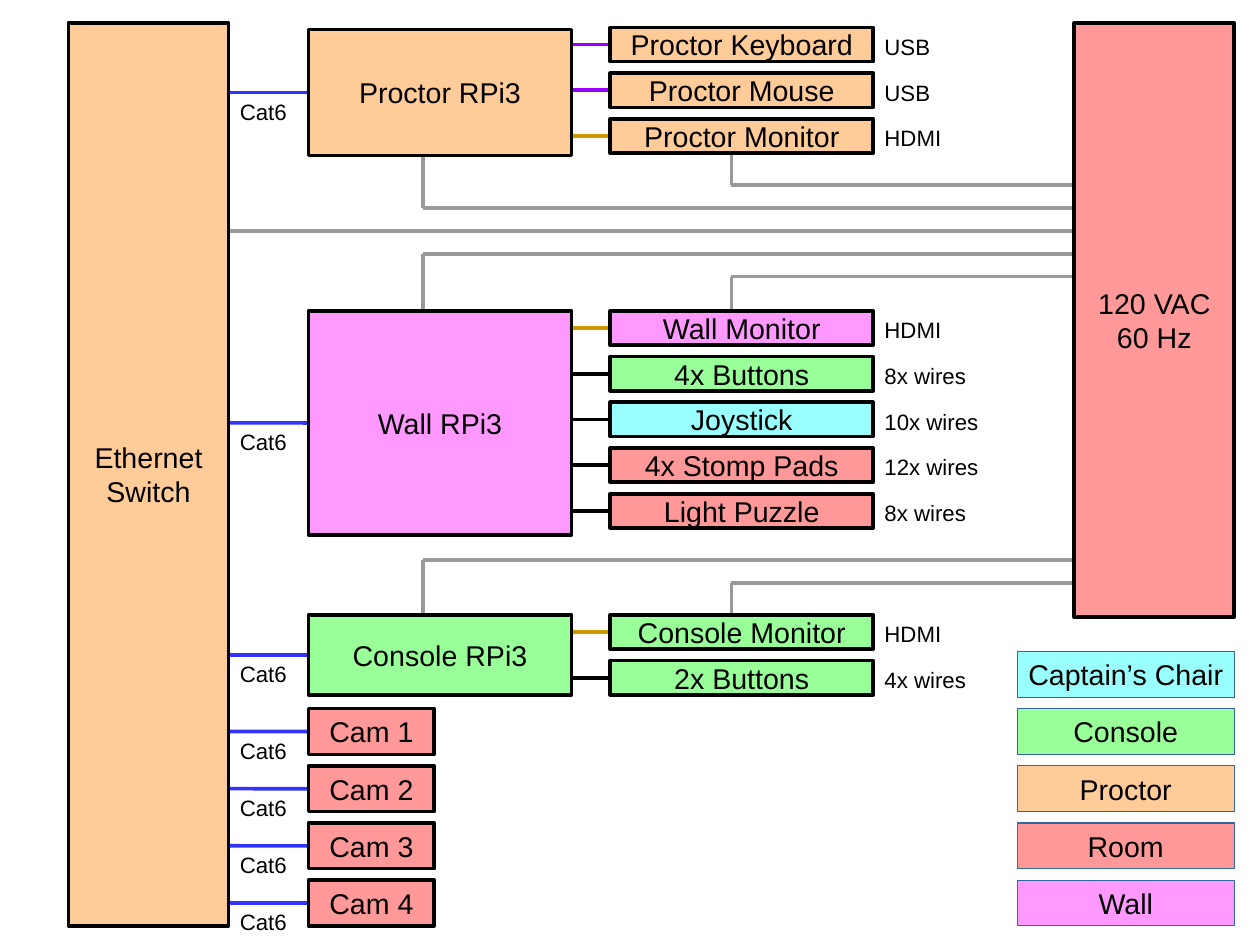
from lxml.etree import SubElement
from pptx import Presentation
from pptx.dml.color import RGBColor
from pptx.enum.shapes import MSO_CONNECTOR, MSO_SHAPE
from pptx.enum.text import MSO_ANCHOR, PP_ALIGN
from pptx.oxml.ns import qn
from pptx.util import Pt

BLACK = RGBColor(0x00, 0x00, 0x00)
CHAIR = RGBColor(0x99, 0xFF, 0xFF)
CONSOLE = RGBColor(0x99, 0xFF, 0x99)
PROCTOR = RGBColor(0xFF, 0xCC, 0x99)
ROOM = RGBColor(0xFF, 0x99, 0x99)
WALL = RGBColor(0xFF, 0x99, 0xFF)
LEGEND_LINE = RGBColor(0x34, 0x65, 0xA4)
ETHERNET_WIRE = RGBColor(0x33, 0x33, 0xFF)
HDMI_WIRE = RGBColor(0xCC, 0x99, 0x00)
POWER_WIRE = RGBColor(0x99, 0x99, 0x99)
USB_WIRE = RGBColor(0x99, 0x00, 0xFF)

SLIDE_WIDTH, SLIDE_HEIGHT = 793.75, 595.25
LINE_WIDTH = 2.3
SWITCH_BOX = (43.2, 14.4, 100.8, 568.8)
POWER_BOX = (676.8, 14.4, 100.8, 374.4)
LEGEND_BOX = (640.8, 410.4, 136.8, 28.8)
SWITCH_RIGHT = SWITCH_BOX[0] + SWITCH_BOX[2]
CONTROLLER_LEFT, CONTROLLER_DROP = 194.4, 266.4
DEVICE_LEFT, DEVICE_DROP = 384.48, 460.8
DEVICE_WIDTH, DEVICE_HEIGHT, DEVICE_PITCH = 165.6, 21.6, 28.8
CAMERA_TOP, ENTRY_PITCH = 446.4, 36

# Controller name, colour, top, height, top of first device, and
# devices as name, colour, wire colour, wire label
STATIONS = [
    ("Proctor RPi3", PROCTOR, 18.72, 79.2, 17.28, [
        ("Proctor Keyboard", PROCTOR, USB_WIRE, "USB"),
        ("Proctor Mouse", PROCTOR, USB_WIRE, "USB"),
        ("Proctor Monitor", PROCTOR, HDMI_WIRE, "HDMI")]),
    ("Wall RPi3", WALL, 195.84, 141.12, 195.84, [
        ("Wall Monitor", WALL, HDMI_WIRE, "HDMI"),
        ("4x Buttons", CONSOLE, BLACK, "8x wires"),
        ("Joystick", CHAIR, BLACK, "10x wires"),
        ("4x Stomp Pads", ROOM, BLACK, "12x wires"),
        ("Light Puzzle", ROOM, BLACK, "8x wires")]),
    ("Console RPi3", CONSOLE, 387.36, 50.4, 387.36, [
        ("Console Monitor", CONSOLE, HDMI_WIRE, "HDMI"),
        ("2x Buttons", CONSOLE, BLACK, "4x wires")]),
]
LEGEND = [("Captain’s Chair", CHAIR), ("Console", CONSOLE),
          ("Proctor", PROCTOR), ("Room", ROOM), ("Wall", WALL)]

# Start of each power line, its height, and the box edge it drops from
POWER_LINES = [
    (DEVICE_DROP, 116.64, 96.48),
    (CONTROLLER_DROP, 131.04, 97.92),
    (SWITCH_RIGHT, 145.44, None),
    (CONTROLLER_DROP, 159.84, 195.84),
    (DEVICE_DROP, 174.24, 195.84),
    (CONTROLLER_DROP, 352.8, 387.36),
    (DEVICE_DROP, 367.2, 387.36),
]


def add_wire(slide, start, end, color):
    wire = slide.shapes.add_connector(
        MSO_CONNECTOR.STRAIGHT, *(Pt(value) for value in (*start, *end)))
    wire.line.color.rgb = color
    wire.line.width = Pt(LINE_WIDTH)
    SubElement(wire._element.spPr, qn("a:effectLst"))
    return wire


def add_box(slide, box, text, fill, line=BLACK, line_width=LINE_WIDTH):
    shape = slide.shapes.add_shape(
        MSO_SHAPE.RECTANGLE, *(Pt(value) for value in box))
    shape.shadow.inherit = False
    shape.fill.solid()
    shape.fill.fore_color.rgb = fill
    shape.line.color.rgb = line
    shape.line.width = Pt(line_width)
    frame = shape.text_frame
    frame.word_wrap = False
    frame.vertical_anchor = MSO_ANCHOR.MIDDLE
    frame.margin_left = frame.margin_right = Pt(7.92)
    frame.margin_top = frame.margin_bottom = Pt(4.32)
    frame.text = text
    for paragraph in frame.paragraphs:
        paragraph.alignment = PP_ALIGN.CENTER
        set_font(paragraph, 18)
    return shape


def add_label(slide, left, top, width, text):
    label = slide.shapes.add_textbox(Pt(left), Pt(top), Pt(width), Pt(23.04))
    label.text_frame.word_wrap = True
    label.text_frame.text = text
    set_font(label.text_frame.paragraphs[0], 14)


def set_font(paragraph, size):
    paragraph.font.name = "Arial"
    paragraph.font.size = Pt(size)
    paragraph.font.color.rgb = BLACK


def add_networked_box(slide, box, text, fill):
    """Place a box and the Cat6 wire that joins it to the switch."""
    left, top, _, height = box
    middle = top + height / 2
    wire = add_wire(slide, (SWITCH_RIGHT, middle), (left, middle), ETHERNET_WIRE)
    wire.end_connect(add_box(slide, box, text, fill), 1)
    add_label(slide, SWITCH_RIGHT, middle, 57.6, "Cat6")


def add_devices(slide, left, top, devices):
    wire_start = CONTROLLER_LEFT + DEVICE_WIDTH
    for index, (name, fill, wire_color, label) in enumerate(devices):
        device_top = top + index * DEVICE_PITCH
        middle = device_top + DEVICE_HEIGHT / 2
        wire = add_wire(slide, (wire_start, middle), (left, middle), wire_color)
        device = add_box(
            slide, (left, device_top, DEVICE_WIDTH, DEVICE_HEIGHT), name, fill)
        wire.end_connect(device, 1)
        add_label(slide, left + DEVICE_WIDTH, device_top, 86.4, label)


def add_power_lines(slide, right):
    for left, height, edge in POWER_LINES:
        if edge is not None:
            add_wire(slide, (left, edge), (left, height), POWER_WIRE)
        add_wire(slide, (left, height), (right, height), POWER_WIRE)


def add_cameras(slide, left, top):
    for index in range(4):
        box = (left, top + index * ENTRY_PITCH, 79.2, 28.8)
        add_networked_box(slide, box, f"Cam {index + 1}", ROOM)


def add_legend(slide, box):
    left, top, width, height = box
    for index, (name, fill) in enumerate(LEGEND):
        entry = (left, top + index * ENTRY_PITCH, width, height)
        add_box(slide, entry, name, fill, LEGEND_LINE, 0)


def main():
    presentation = Presentation()
    presentation.slide_width = Pt(SLIDE_WIDTH)
    presentation.slide_height = Pt(SLIDE_HEIGHT)
    slide = presentation.slides.add_slide(presentation.slide_layouts[6])
    add_power_lines(slide, POWER_BOX[0])
    for name, fill, top, height, device_top, devices in STATIONS:
        add_devices(slide, DEVICE_LEFT, device_top, devices)
        controller = (CONTROLLER_LEFT, top, DEVICE_WIDTH, height)
        add_networked_box(slide, controller, name, fill)
    add_cameras(slide, CONTROLLER_LEFT, CAMERA_TOP)
    add_legend(slide, LEGEND_BOX)
    add_box(slide, POWER_BOX, "120 VAC\n60 Hz", ROOM)
    add_box(slide, SWITCH_BOX, "Ethernet\nSwitch", PROCTOR)
    presentation.save("out.pptx")


if __name__ == "__main__":
    main()
